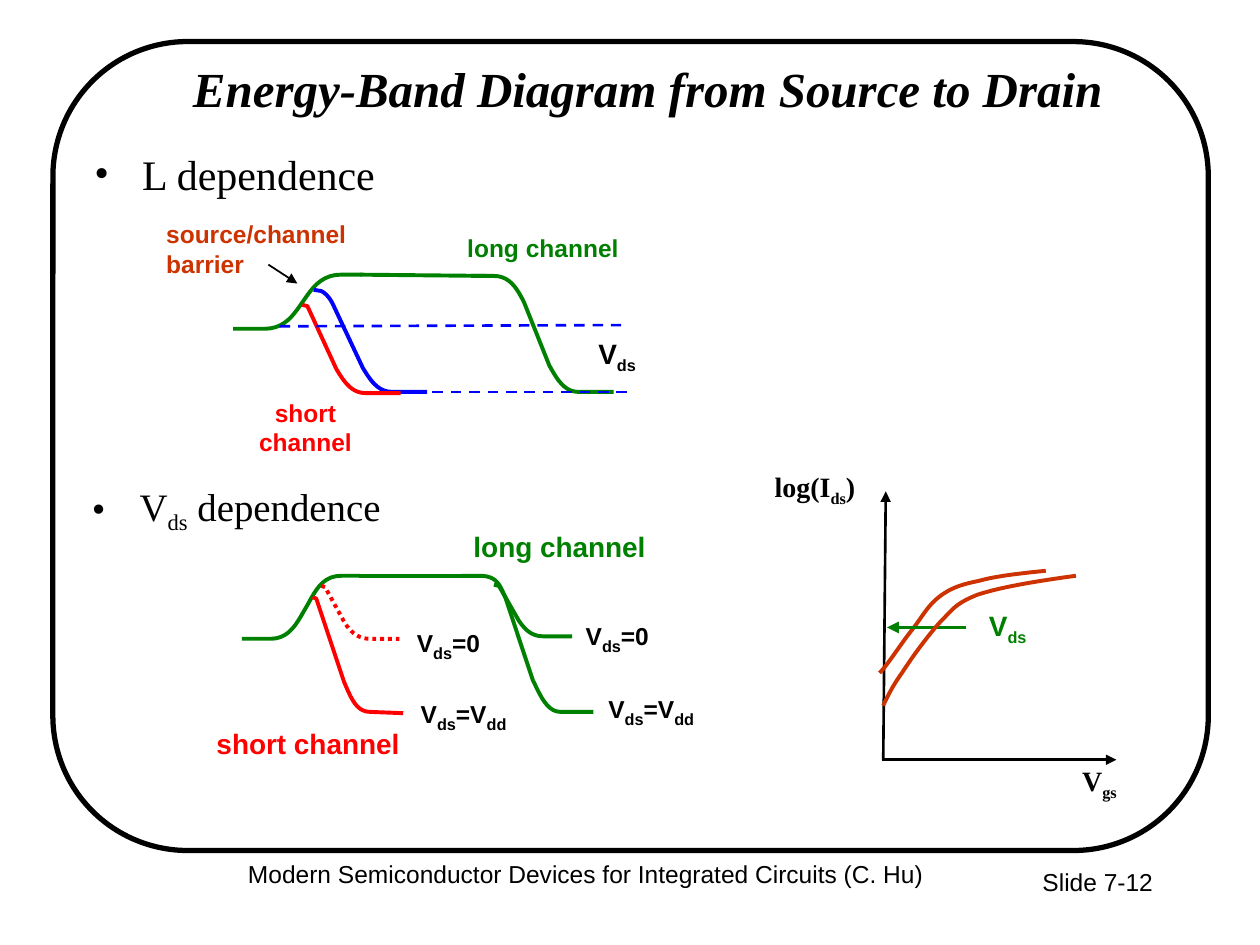
from pptx import Presentation
from pptx.dml.color import RGBColor
from pptx.enum.dml import MSO_LINE_DASH_STYLE as Dash
from pptx.enum.shapes import MSO_CONNECTOR as Connector, MSO_SHAPE as Shape
from pptx.enum.text import MSO_ANCHOR as Anchor, MSO_AUTO_SIZE as AutoSize, PP_ALIGN as Align
from pptx.oxml.ns import qn
from pptx.util import Emu, Pt
from lxml.etree import SubElement

PX = 9144  # 100 px to the inch
BLACK, GREEN, BLUE, RED, RUST = "000000", "008000", "0000FF", "FF0000", "CC3300"
SANS, SERIF = "Arial", "Times New Roman"


def px(*lengths):
    return [Emu(length * PX) for length in lengths]


def color(value):
    return RGBColor.from_string(value)


def style_line(line, stroke, width, dash=None):
    line.color.rgb = color(stroke)
    line.width = Pt(width)
    if dash:
        line.dash_style = dash


def add_bullet(para, font):
    properties = para._p.get_or_add_pPr()
    properties.set("marL", str(38 * PX))
    properties.set("indent", str(-38 * PX))
    SubElement(properties, qn("a:buFont")).set("typeface", font)
    SubElement(properties, qn("a:buChar")).set("char", "•")


def write(frame, text, size=14, font=SANS, ink=BLACK, bold=False, italic=False,
          align=Align.LEFT, bullet=False, sub_size=None):
    """Fill a frame; newlines part paragraphs and underscores enclose subscripts."""
    for row, line in enumerate(text.split("\n")):
        para = frame.add_paragraph() if row else frame.paragraphs[0]
        para.alignment = align
        if bullet:
            add_bullet(para, font)
        for index, part in enumerate(line.split("_")):
            if not part:
                continue
            span = para.add_run()
            span.text = part
            lowered = index % 2 == 1
            span.font.size = Pt(sub_size if lowered and sub_size else size)
            span.font.name = font
            span.font.bold = bold
            span.font.italic = italic
            span.font.color.rgb = color(ink)
            if lowered:
                span._r.get_or_add_rPr().set("baseline", "-25000")


def add_text(page, place, text, wrap=True, grow=False, **text_format):
    frame = page.shapes.add_textbox(*px(*place)).text_frame
    frame.word_wrap = wrap
    frame.auto_size = AutoSize.SHAPE_TO_FIT_TEXT if grow else AutoSize.NONE
    write(frame, text, **text_format)


def add_label(page, place, text, wrap=False, bold=True, **text_format):
    add_text(page, place, text, wrap=wrap, grow=True, bold=bold, **text_format)


def add_line(page, start, end, stroke, width=2.25, dash=None, arrow=False):
    line = page.shapes.add_connector(Connector.STRAIGHT, *px(*start, *end))
    style_line(line.line, stroke, width, dash)
    if arrow:
        SubElement(line.line._get_or_add_ln(), qn("a:tailEnd")).set("type", "triangle")
    SubElement(line._element.spPr, qn("a:effectLst"))


def bezier(start, ctrl_1, ctrl_2, end, steps=10):
    """Points along a cubic curve, without its start."""
    points = []
    for step in range(1, steps + 1):
        t = step / steps
        weights = ((1 - t) ** 3, 3 * t * (1 - t) ** 2, 3 * t * t * (1 - t), t ** 3)
        corners = (start, ctrl_1, ctrl_2, end)
        points.append(tuple(sum(w * c[axis] for w, c in zip(weights, corners))
                            for axis in (0, 1)))
    return points


def add_curve(page, start, pieces, stroke, dash=None):
    """Draw an open path; two numbers make a line, six make a cubic curve."""
    points = [start]
    for piece in pieces:
        if len(piece) == 2:
            points.append(piece)
        else:
            points += bezier(points[-1], piece[:2], piece[2:4], piece[4:])
    scaled = [(round(x * PX), round(y * PX)) for x, y in points]
    builder = page.shapes.build_freeform(*scaled[0], scale=1.0)
    builder.add_line_segments(scaled[1:], close=False)
    curve = builder.convert_to_shape()
    curve.fill.background()
    curve.shadow.inherit = False
    style_line(curve.line, stroke, 2.25, dash)


def add_frame(page):
    frame = page.shapes.add_shape(Shape.FLOWCHART_ALTERNATE_PROCESS, *px(42, 33, 917, 642))
    frame.fill.background()
    frame.shadow.inherit = False
    style_line(frame.line, BLACK, 3)


def add_title(page, text):
    title = page.shapes.title
    title.left, title.top, title.width, title.height = px(89, 33, 850, 74)
    frame = title.text_frame
    frame.vertical_anchor = Anchor.MIDDLE
    frame.auto_size = AutoSize.NONE
    write(frame, text, size=28, font=SERIF, bold=True, italic=True, align=Align.CENTER)


def draw_length_bands(page):
    add_label(page, (361, 180, 140, 34), "long channel", ink=GREEN, align=Align.CENTER)
    add_curve(page, (185, 261), [(210, 261), (226, 261, 233, 250, 240, 240),
                                 (247, 230, 254, 218, 271, 218), (287, 218)], GREEN)
    add_line(page, (286, 218), (386, 219), GREEN)
    add_curve(page, (374, 219), [(392, 219), (404, 219, 410, 228, 416, 240), (436, 290),
                                 (442, 301, 448, 311, 459, 311), (487, 311)], GREEN)
    add_line(page, (314, 311), (500, 311), BLUE, 1.5, Dash.DASH)
    add_curve(page, (249, 230), [(255, 231), (259, 233, 262, 237, 264, 241), (288, 292),
                                 (294, 302, 300, 311, 311, 311), (339, 311)], BLUE)
    add_curve(page, (240, 242), [(244, 243), (267, 293),
                                 (273, 303, 279, 312, 290, 312), (318, 312)], RED)
    add_label(page, (465, 262, 50, 41), "V_ds_", size=16)
    add_label(page, (174, 311, 137, 57), "short channel", wrap=True, ink=RED,
              align=Align.CENTER)
    add_line(page, (213, 210), (236, 225), BLACK, 1, arrow=True)
    add_label(page, (122, 169, 168, 57), "source/channel\nbarrier", ink=RUST)
    add_line(page, (222, 259), (493, 258), BLUE, 1.5, Dash.DASH)


def draw_current_plot(page):
    add_line(page, (700, 603), (886, 603), BLACK, 1.5, arrow=True)
    add_line(page, (701, 603), (703, 390), BLACK, 1.5, arrow=True)
    add_label(page, (849, 601, 60, 41), "V_gs_", wrap=True, size=16, font=SERIF)
    add_label(page, (605, 368, 111, 41), "log(I_ds_)", wrap=True, size=16, font=SERIF)
    add_curve(page, (830, 453), [(811, 455, 791, 457, 777, 461), (762, 464, 754, 467, 745, 474),
                                 (736, 481, 731, 491, 723, 501),
                                 (715, 511, 703, 530, 698, 534)], RUST)
    add_line(page, (767, 498), (704, 498), GREEN, arrow=True)
    add_label(page, (775, 478, 56, 41), "V_ds_", size=16, ink=GREEN)
    add_curve(page, (854, 457), [(824, 461, 794, 466, 776, 472), (758, 479, 756, 484, 746, 494),
                                 (736, 505, 723, 523, 716, 534),
                                 (708, 545, 705, 552, 701, 560)], RUST)


def draw_voltage_bands(page):
    add_curve(page, (192, 507), [(215, 507), (230, 507, 236, 494, 243, 482),
                                 (250, 470, 255, 457, 271, 457), (286, 457)], GREEN)
    add_line(page, (285, 457), (378, 457), GREEN)
    add_curve(page, (366, 457), [(383, 457), (395, 458, 397, 465, 401, 474), (423, 540),
                                 (429, 552, 434, 565, 445, 565), (471, 565)], GREEN)
    add_curve(page, (255, 465), [(258, 466), (274, 495), (279, 502, 284, 507, 294, 507),
                                 (317, 507)], RED, Dash.ROUND_DOT)
    add_curve(page, (248, 474), [(251, 475), (273, 541), (279, 555, 283, 565, 294, 565),
                                 (320, 566)], RED)
    add_curve(page, (392, 464), [(396, 465), (412, 493), (417, 500, 422, 505, 431, 505),
                                 (454, 505)], GREEN)
    add_label(page, (366, 415, 170, 37), "long channel", wrap=True, size=16, ink=GREEN)
    add_label(page, (162, 572, 180, 37), "short channel", wrap=True, size=16, ink=RED)
    for left, top, width, text in ((321, 491, 70, "V_ds_=0"), (324, 547, 88, "V_ds_=V_dd_"),
                                   (473, 543, 88, "V_ds_=V_dd_"), (455, 485, 79, "V_ds_=0")):
        add_label(page, (left, top, width, 41), text, sub_size=16)


def main():
    deck = Presentation()
    deck.slide_width, deck.slide_height = px(1000, 750)
    page = deck.slides.add_slide(deck.slide_layouts[5])
    add_frame(page)
    add_title(page, "Energy-Band Diagram from Source to Drain")
    add_text(page, (65, 113, 521, 54), "L dependence", size=24, font=SERIF, bullet=True)
    add_text(page, (63, 378, 521, 54), "V_ds_ dependence", size=22.2, font=SERIF, bullet=True)
    draw_length_bands(page)
    draw_current_plot(page)
    draw_voltage_bands(page)
    add_text(page, (164, 677, 602, 57), align=Align.CENTER,
             text="Modern Semiconductor Devices for Integrated Circuits (C. Hu)")
    add_text(page, (717, 683, 208, 50), "Slide 7-12", align=Align.RIGHT)
    deck.save("out.pptx")


if __name__ == "__main__":
    main()
